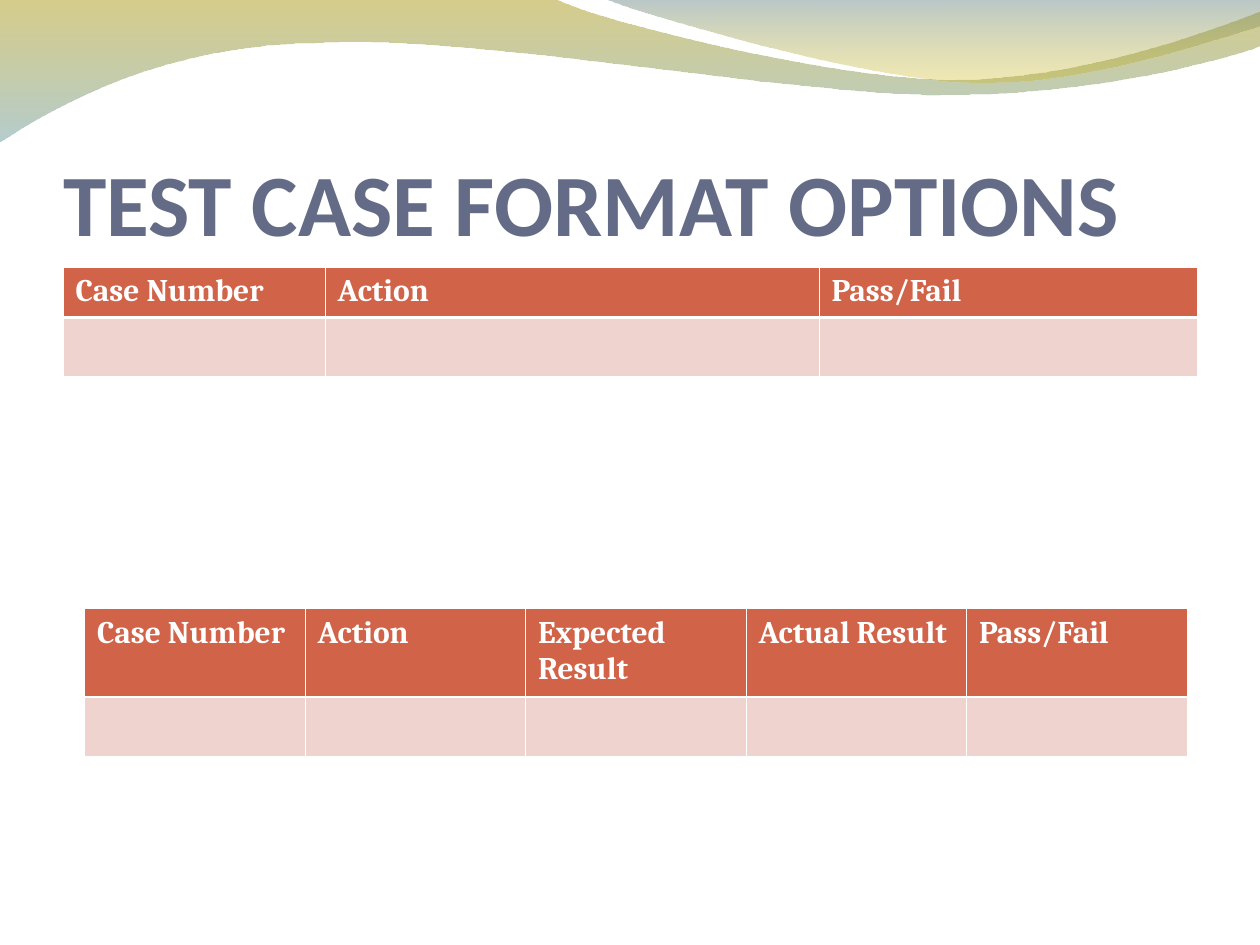
from itertools import chain, islice

from lxml import etree
from pptx import Presentation
from pptx.dml.color import RGBColor
from pptx.enum import text
from pptx.oxml.ns import qn
from pptx.util import Inches, Pt

WHITE = RGBColor(0xFF, 0xFF, 0xFF)
SLATE = RGBColor(0x64, 0x6B, 0x86)
RUST = RGBColor(0xD1, 0x63, 0x49)
PINK = RGBColor(0xEE, 0xD3, 0xCF)
OLIVE = RGBColor(0xA4, 0x8F, 0x00)
TEAL = RGBColor(0x76, 0xA4, 0xA6)
GREY_TEAL = RGBColor(0x62, 0x82, 0x83)
GOLD = RGBColor(0xD7, 0xB9, 0x00)

THIN, THICK = Pt(0.45), Pt(1.47)
UNITS = 100  # outline units to the inch

# Each step is a line (one point) or a Bezier curve (two controls and an end)
BROAD_WAVE = [
    [(0, -0.01)],
    [(4.4, -0.01)],
    [(4.76, 0.17), (6.64, 0.63), (7.58, 0.63)],
    [(8.53, 0.63), (9.58, 0.26), (10, 0.09)],
    [(10.01, 0.36)],
    [(9.83, 0.44), (8.7, 0.76), (7.46, 0.75)],
    [(6.22, 0.75), (3.82, 0.28), (2.57, 0.34)],
    [(1.29, 0.35), (0.46, 0.83), (-0.01, 1.13)],
]
RIGHT_WAVE = [
    [(4.79, -0.01)],
    [(5.09, 0.11), (6.82, 0.62), (7.69, 0.65)],
    [(8.56, 0.69), (9.61, 0.32), (10, 0.21)],
    [(10, 0)],
]


def bend_lines(shape, steps):
    """Join the three line segments of each curved step into one Bezier curve."""
    lines = iter(list(shape.element.iter(qn("a:lnTo"))))
    for step in steps:
        segments = list(islice(lines, len(step)))
        if len(segments) == 3:
            curve = etree.Element(qn("a:cubicBezTo"))
            segments[0].addprevious(curve)
            for segment in segments:
                curve.append(segment[0])
                segment.getparent().remove(segment)


def add_wave(page, outline, stops):
    """Draw a wave filled from top to bottom with (colour, opacity %) stops."""
    points = [(round(x * UNITS), round(y * UNITS)) for x, y in chain(*outline)]
    builder = page.shapes.build_freeform(*points[0], scale=Inches(1) / UNITS)
    builder.add_line_segments(points[1:], close=True)
    wave = builder.convert_to_shape()
    bend_lines(wave, outline[1:])
    wave.shadow.inherit = False
    wave.line.fill.background()
    wave.fill.gradient()
    wave.fill.gradient_angle = 270
    for stop, (colour, _) in zip(wave.fill.gradient_stops, stops):
        stop.color.rgb = colour
    for node, (_, opacity) in zip(wave.element.spPr.iter(qn("a:srgbClr")), stops):
        etree.SubElement(node, qn("a:alpha"), val=str(opacity * 1000))
    # Keep the waves behind the title
    page.shapes.title.element.addprevious(wave.element)


def place_title(page, words, left, top, width, height):
    title = page.shapes.title
    title.left, title.top, title.width, title.height = map(Inches, (left, top, width, height))
    frame = title.text_frame
    frame.text = words
    frame.word_wrap = True
    frame.auto_size = text.MSO_AUTO_SIZE.NONE
    frame.vertical_anchor = text.MSO_ANCHOR.BOTTOM
    frame.margin_left = frame.margin_right = frame.margin_bottom = 0
    frame.margin_top = Inches(0.05)
    para = frame.paragraphs[0]
    para.alignment = text.PP_ALIGN.LEFT
    font = para.font
    font.name, font.size, font.bold = "Calibri", Pt(50), True
    font.color.rgb = SLATE


def style_cell(cell, colour, top, bottom):
    """Give a cell white borders, then its fill."""
    properties = cell._tc.get_or_add_tcPr()
    for side, width in (("L", THIN), ("R", THIN), ("T", top), ("B", bottom)):
        border = etree.SubElement(properties, qn(f"a:ln{side}"), w=str(int(width)))
        fill = etree.SubElement(border, qn("a:solidFill"))
        etree.SubElement(fill, qn("a:srgbClr"), val=str(WHITE))
    cell.fill.solid()
    cell.fill.fore_color.rgb = colour


def add_format_table(page, left, top, headings, widths, heights):
    """A heading row above one empty row."""
    frame = page.shapes.add_table(2, len(headings), *map(
        Inches, (left, top, sum(widths), sum(heights))))
    table = frame.table
    for row, height in zip(table.rows, heights):
        row.height = Inches(height)
    for index, (heading, width) in enumerate(zip(headings, widths)):
        table.columns[index].width = Inches(width)
        head = table.cell(0, index)
        head.text = heading
        font = head.text_frame.paragraphs[0].font
        font.name, font.size, font.bold = "Cambria", Pt(18), True
        font.color.rgb = WHITE
        style_cell(head, RUST, THIN, THICK)
        style_cell(table.cell(1, index), PINK, THICK, THIN)


def main():
    deck = Presentation()
    deck.slide_width, deck.slide_height = Inches(10), Inches(7.5)
    page = deck.slides.add_slide(deck.slide_layouts[5])

    # Waves along the top edge
    add_wave(page, BROAD_WAVE, [(OLIVE, 45), (TEAL, 55)])
    add_wave(page, RIGHT_WAVE, [(GREY_TEAL, 45), (GOLD, 30)])

    place_title(page, "TEST CASE FORMAT OPTIONS", 0.5, 0.77, 9, 1.25)

    # Short and long test case formats
    add_format_table(page, 0.5, 2.12, ["Case Number", "Action", "Pass/Fail"],
                     [2.08, 3.92, 3], [0.4, 0.47])
    add_format_table(page, 0.67, 4.83,
                     ["Case Number", "Action", "Expected Result", "Actual Result", "Pass/Fail"],
                     [1.75] * 5, [0.7, 0.47])

    deck.save("out.pptx")


if __name__ == "__main__":
    main()
